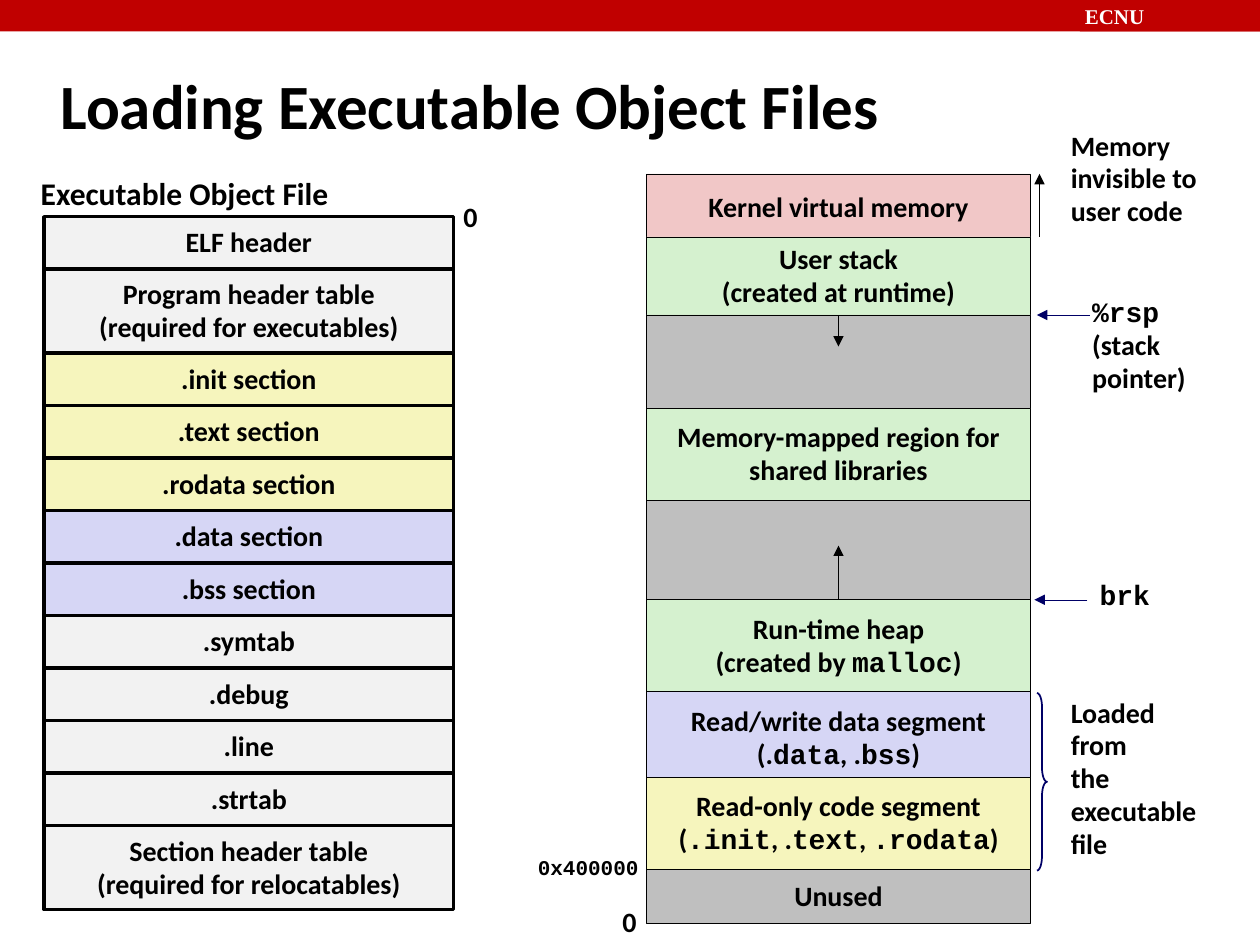
from itertools import accumulate

from lxml import etree
from pptx import Presentation
from pptx.dml.color import RGBColor
from pptx.enum.shapes import MSO_CONNECTOR, MSO_SHAPE
from pptx.enum.text import MSO_ANCHOR, PP_ALIGN
from pptx.oxml.ns import qn
from pptx.util import Inches, Pt

RECTANGLE, BRACE = MSO_SHAPE.RECTANGLE, MSO_SHAPE.RIGHT_BRACE
STRAIGHT = MSO_CONNECTOR.STRAIGHT
LEFT, CENTER = PP_ALIGN.LEFT, PP_ALIGN.CENTER
TOP, MIDDLE = MSO_ANCHOR.TOP, MSO_ANCHOR.MIDDLE

BLACK = RGBColor(0x00, 0x00, 0x00)
WHITE = RGBColor(0xFF, 0xFF, 0xFF)
RED = RGBColor(0xC0, 0x00, 0x00)
NAVY = RGBColor(0x00, 0x00, 0x66)
LIGHT = RGBColor(0xF2, 0xF2, 0xF2)
GRAY = RGBColor(0xBF, 0xBF, 0xBF)
YELLOW = RGBColor(0xF6, 0xF5, 0xBD)
LILAC = RGBColor(0xD6, 0xD6, 0xF5)
GREEN = RGBColor(0xD5, 0xF1, 0xCF)
PINK = RGBColor(0xF1, 0xC7, 0xC7)
BODY_FONT, CODE_FONT, HEADER_FONT = "Calibri", "Courier New", "Times New Roman"

WIDTH, HEIGHT = 10, 7.5

# Label, fill, height in rows
SECTIONS = [
    ("ELF header", LIGHT, 1),
    ("Program header table\n(required for executables)", LIGHT, 1.6),
    (".init section", YELLOW, 1),
    (".text section", YELLOW, 1),
    (".rodata section", YELLOW, 1),
    (".data section", LILAC, 1),
    (".bss section", LILAC, 1),
    (".symtab", LIGHT, 1),
    (".debug", LIGHT, 1),
    (".line", LIGHT, 1),
    (".strtab", LIGHT, 1),
    ("Section header table\n(required for relocatables)", LIGHT, 1.6),
]

# Label (code between backticks), fill, height share, overlap with the next region
REGIONS = [
    ("Kernel virtual memory", PINK, 0.5, 0.03),
    ("User stack\n(created at runtime)", GREEN, 0.62, 0),
    ("", GRAY, 0.74, 0),
    ("Memory-mapped region for\nshared libraries", GREEN, 0.73, 0),
    ("", GRAY, 0.79, 0),
    ("Run-time heap\n(created by `malloc`)", GREEN, 0.73, 0),
    ("Read/write data segment\n(.`data`, .`bss`)", LILAC, 0.68, 0.05),
    ("Read-only code segment\n(`.init`, .`text`, `.rodata`)", YELLOW, 0.73, 0),
    ("Unused", GRAY, 0.43, 0),
]


def write(frame, text, size=16, align=LEFT, anchor=TOP, wrap=False,
          font=BODY_FONT, color=BLACK):
    """Fill a text frame; parts between backticks are set in the code font."""
    frame.word_wrap, frame.vertical_anchor = wrap, anchor
    lines = text.split("\n")
    frame.text = "\n".join("" for _ in lines)
    for paragraph, line in zip(frame.paragraphs, lines):
        paragraph.alignment = align
        paragraph.line_spacing = 0.94 if line.startswith("`") else 0.98
        for index, part in enumerate(line.split("`")):
            if part:
                run = paragraph.add_run()
                run.text = part
                run.font.name = CODE_FONT if index % 2 else font
                run.font.size, run.font.bold = Pt(size), True
                run.font.color.rgb = color


def add_block(slide, box, fill, text="", line_width=None):
    block = slide.shapes.add_shape(RECTANGLE, *map(Inches, box))
    block.shadow.inherit = False
    block.fill.solid()
    block.fill.fore_color.rgb = fill
    if line_width:
        block.line.color.rgb, block.line.width = BLACK, Pt(line_width)
    else:
        block.line.fill.background()
    if text:
        write(block.text_frame, text, align=CENTER, anchor=MIDDLE)
    return block


def add_label(slide, box, text, **style):
    write(slide.shapes.add_textbox(*map(Inches, box)).text_frame, text, **style)


def add_arrow(slide, start, end, color=BLACK):
    arrow = slide.shapes.add_connector(STRAIGHT, *map(Inches, (*start, *end)))
    arrow.line.color.rgb, arrow.line.width = color, Pt(0.25)
    etree.SubElement(arrow.line._get_or_add_ln(), qn("a:tailEnd"), type="triangle")
    etree.SubElement(arrow._element.spPr, qn("a:effectLst"))


def edges_of(top, height, shares):
    """Upper and lower edges of stacked blocks filling the given height."""
    return [top + height * part / sum(shares) for part in accumulate(shares, initial=0)]


def build_header(slide, box):
    left, top, width, height = box
    add_block(slide, box, RED)
    school_left = left + 0.857 * width
    school = add_block(slide, (school_left, top, left + width - school_left, height), RED)
    frame = school.text_frame
    frame.margin_left = frame.margin_right = Inches(0.04)
    frame.margin_top = frame.margin_bottom = Inches(0.04)
    write(frame, "ECNU", size=12, wrap=True, font=HEADER_FONT, color=WHITE)


def build_title(slide, box):
    title = slide.shapes.title
    title.left, title.top, title.width, title.height = map(Inches, box)
    write(title.text_frame, "Loading Executable Object Files", size=36,
          anchor=MIDDLE, wrap=True)


def build_object_file(slide, box):
    left, top, width, height = box
    edges = edges_of(top, height, [rows for _, _, rows in SECTIONS])
    for (label, fill, _), upper, lower in zip(SECTIONS, edges, edges[1:]):
        add_block(slide, (left, upper, width, lower - upper), fill, label, 2)
    add_label(slide, (left - 0.13, top - 0.37, 2.49, 0.4), "Executable Object File",
              size=18, align=CENTER)
    add_label(slide, (left + width - 0.02, top - 0.17, 0.31, 0.36), "0")


def build_memory_map(slide, box):
    left, top, width, height = box
    right, middle = left + width, left + width / 2
    edges = edges_of(top, height, [share for _, _, share, _ in REGIONS])
    for (label, fill, _, overlap), upper, lower in zip(REGIONS, edges, edges[1:]):
        add_block(slide, (left, upper, width, lower - upper + overlap), fill, label, 0.25)
    kernel, stack, stack_end, heap_end = edges[0], edges[1], edges[2], edges[5]
    data, unused, bottom = edges[6], edges[8], edges[9]

    # Growth of stack and heap, kernel range, pointers
    add_arrow(slide, (middle, stack_end), (middle, stack_end + 0.25))
    add_arrow(slide, (middle, heap_end), (middle, heap_end - 0.43))
    add_arrow(slide, (right + 0.07, stack), (right + 0.07, kernel))
    add_arrow(slide, (right + 0.47, stack_end), (right + 0.05, stack_end), NAVY)
    add_arrow(slide, (right + 0.45, heap_end), (right + 0.03, heap_end), NAVY)

    # Segments loaded from the file
    brace = slide.shapes.add_shape(
        BRACE, *map(Inches, (right + 0.05, data + 0.01, 0.08, unused - data)))
    brace.shadow.inherit = False
    brace.fill.background()
    brace.line.color.rgb, brace.line.width = NAVY, Pt(1)
    brace.adjustments[0] = 1.4

    # Notes on the right, addresses on the left
    add_label(slide, (right + 0.22, kernel - 0.4, 1.44, 0.89),
              "Memory\ninvisible to user code", wrap=True)
    add_label(slide, (right + 0.39, stack_end - 0.19, 0.95, 0.88),
              "`%rsp`\n(stack\npointer)")
    add_label(slide, (right + 0.45, heap_end - 0.2, 0.6, 0.35), "`brk`")
    add_label(slide, (right + 0.22, data - 0.01, 1.26, 1.41),
              "Loaded\nfrom\nthe\nexecutable\nfile")
    add_label(slide, (left - 0.96, unused - 0.15, 1, 0.29), "`0x400000`", size=12)
    add_label(slide, (left - 0.29, bottom - 0.19, 0.31, 0.36), "0")


def main():
    deck = Presentation()
    deck.slide_width, deck.slide_height = Inches(WIDTH), Inches(HEIGHT)
    slide = deck.slides.add_slide(deck.slide_layouts[5])
    build_header(slide, (0, 0, WIDTH, HEIGHT / 30))
    build_title(slide, (0.38, 0.42, 9.53, 0.86))
    build_object_file(slide, (0.35, 1.72, 3.25, 5.5))
    build_memory_map(slide, (5.13, 1.38, 3.05, 5.95))
    deck.save("out.pptx")


if __name__ == "__main__":
    main()
